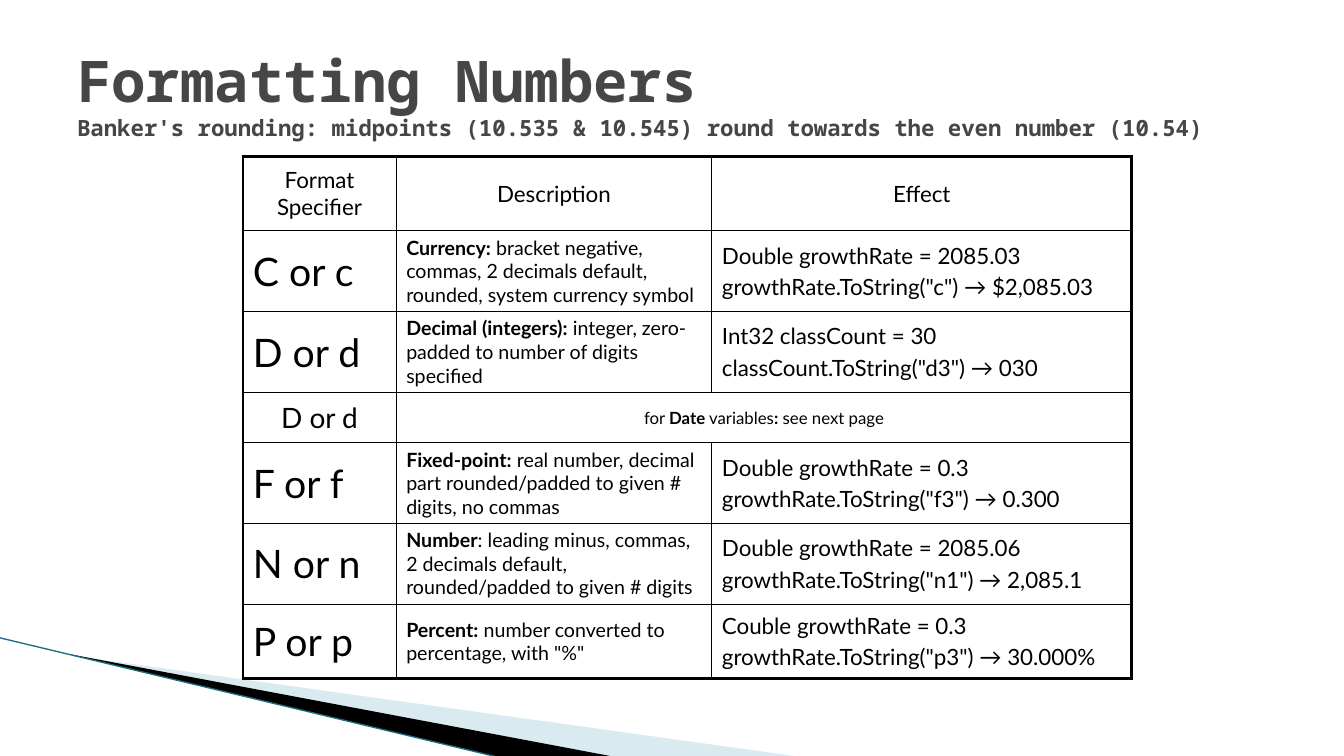
from lxml.etree import SubElement
from pptx import Presentation
from pptx.dml.color import RGBColor
from pptx.enum.shapes import MSO_CONNECTOR as CONN
from pptx.enum.text import MSO_ANCHOR as ANCHOR, PP_ALIGN as ALIGN
from pptx.oxml.ns import qn
from pptx.util import Pt

BLACK, GREY = "000000", "464646"
TITLE = [("Formatting Numbers", 41),
         ("Banker's rounding: midpoints (10.535 & 10.545) "
          "round towards the even number (10.54)", 16)]
HEADERS = [["Format", "Specifier"], ["Description"], ["Effect"]]
FORMATS = {
    1: ("C or c", "Currency:",
        " bracket negative, commas, 2 decimals default, rounded, system currency symbol",
        "Double growthRate = 2085.03", 'growthRate.ToString("c") → $2,085.03'),
    2: ("D or d", "Decimal (integers):",
        " integer, zero-padded to number of digits specified",
        "Int32 classCount = 30", 'classCount.ToString("d3") → 030'),
    4: ("F or f", "Fixed-point:",
        " real number, decimal part rounded/padded to given # digits, no commas",
        "Double growthRate = 0.3", 'growthRate.ToString("f3") → 0.300'),
    5: ("N or n", "Number",
        ": leading minus, commas, 2 decimals default, rounded/padded to given # digits",
        "Double growthRate = 2085.06", 'growthRate.ToString("n1") → 2,085.1'),
    6: ("P or p", "Percent:", ' number converted to percentage, with "%"',
        "Couble growthRate = 0.3", 'growthRate.ToString("p3") → 30.000%'),
}
DATE_ROW = 3
DATE_NOTE = [("for ", False), ("Date", True), (" variables", False),
             (":", True), (" see next page", False)]
COLS = [109.5, 225.5, 300]
ROWS = [53.3, 57.6, 57.6, 36, 57.6, 57.6, 53.3]


def color(hex_code):
    """Turn a hex string into a colour."""
    return RGBColor.from_string(hex_code)


def add_run(p, text, size, bold=False, font="Lato", hex_code=BLACK):
    """Append one formatted run to a paragraph."""
    r = p.add_run()
    r.text = text
    r.font.size, r.font.bold, r.font.name = Pt(size), bold, font
    r.font.color.rgb = color(hex_code)


def add_wedge(s, points, hex_code, opacity=100):
    """Draw a filled outline without a border."""
    start, *rest = [(Pt(x), Pt(y)) for x, y in points]
    builder = s.shapes.build_freeform(*start, scale=1.0)
    builder.add_line_segments(rest, close=True)
    sp = builder.convert_to_shape()
    sp.shadow.inherit = False
    sp.line.fill.background()
    sp.fill.solid()
    sp.fill.fore_color.rgb = color(hex_code)
    if opacity < 100:
        clr = sp.fill._xPr.find(qn("a:solidFill"))[0]
        SubElement(clr, qn("a:alpha"), val=str(opacity * 1000))


def add_line(s, start, end, hex_code, width):
    """Draw a straight line without a shadow."""
    line = s.shapes.add_connector(CONN.STRAIGHT, *map(Pt, start + end))
    line.line.color.rgb = color(hex_code)
    line.line.width = Pt(width)
    SubElement(line._element.spPr, qn("a:effectLst"))


def add_title(s):
    """Write the heading and its smaller second line."""
    tf = s.shapes.add_textbox(Pt(48), Pt(21.6), Pt(864), Pt(90)).text_frame
    tf.word_wrap = True
    tf.vertical_anchor = ANCHOR.MIDDLE
    p = tf.paragraphs[0]
    for i, (text, size) in enumerate(TITLE):
        if i:
            p.add_line_break()
        add_run(p, text, size, True, "Noto Sans Mono", GREY)


def fill_cell(cell, paragraphs, size, align=ALIGN.LEFT, gap=0):
    """Write paragraphs, each a list of (text, bold) runs, into a cell."""
    cell.vertical_anchor = ANCHOR.MIDDLE
    tf = cell.text_frame
    for i, runs in enumerate(paragraphs):
        p = tf.add_paragraph() if i else tf.paragraphs[0]
        p.alignment = align
        if i:
            p.space_before = Pt(gap)
        for text, bold in runs:
            add_run(p, text, size, bold)


def set_borders(cell, outer):
    """Outline a cell, with thick lines on the outer sides of the table."""
    tc_pr = cell._tc.get_or_add_tcPr()
    for side in "LRTB":
        width = Pt(2.25 if side in outer else 1)
        ln = SubElement(tc_pr, qn("a:ln" + side), w=str(width))
        fill = SubElement(ln, qn("a:solidFill"))
        SubElement(fill, qn("a:srgbClr"), val=BLACK)
    cell.fill.background()


def add_format_table(s):
    """Build the table of format specifiers."""
    table = s.shapes.add_table(len(ROWS), len(COLS), Pt(173.5), Pt(111.6),
                               Pt(sum(COLS)), Pt(sum(ROWS))).table
    table.first_row = table.horz_banding = False
    for col, width in zip(table.columns, COLS):
        col.width = Pt(width)
    for row, height in zip(table.rows, ROWS):
        row.height = Pt(height)
    last_row, last_col = len(ROWS) - 1, len(COLS) - 1
    for r in range(len(ROWS)):
        for c in range(len(COLS)):
            merged_end = r == DATE_ROW and c == 1
            edges = {"L": c == 0, "R": c == last_col or merged_end,
                     "T": r == 0, "B": r == last_row}
            set_borders(table.cell(r, c), [k for k, on in edges.items() if on])
    for c, lines in enumerate(HEADERS):
        fill_cell(table.cell(0, c), [[(t, False)] for t in lines], 16, ALIGN.CENTER)
    for r, (spec, name, detail, declare, call) in FORMATS.items():
        fill_cell(table.cell(r, 0), [[(spec, False)]], 28)
        fill_cell(table.cell(r, 1), [[(name, True), (detail, False)]], 14)
        fill_cell(table.cell(r, 2), [[(declare, False)], [(call, False)]], 16, gap=3.2)
    table.cell(DATE_ROW, 1).merge(table.cell(DATE_ROW, 2))
    fill_cell(table.cell(DATE_ROW, 0), [[("D or d", False)]], 20, ALIGN.CENTER)
    fill_cell(table.cell(DATE_ROW, 1), [DATE_NOTE], 12, ALIGN.CENTER)


def main():
    """Build and save the slide."""
    prs = Presentation()
    prs.slide_width, prs.slide_height = Pt(960), Pt(540)
    s = prs.slides.add_slide(prs.slide_layouts[6])
    add_wedge(s, [(52.5, 468.5), (571, 540.5), (438, 540.5)], "A0CBDC", 40)
    add_wedge(s, [(51, 467.5), (438.5, 540.5), (357, 541), (52, 468)], BLACK)
    add_line(s, (-0.5, 455.5), (356.5, 541), "1B6F80", 0.95)
    add_title(s)
    add_format_table(s)
    prs.save("out.pptx")


main()
